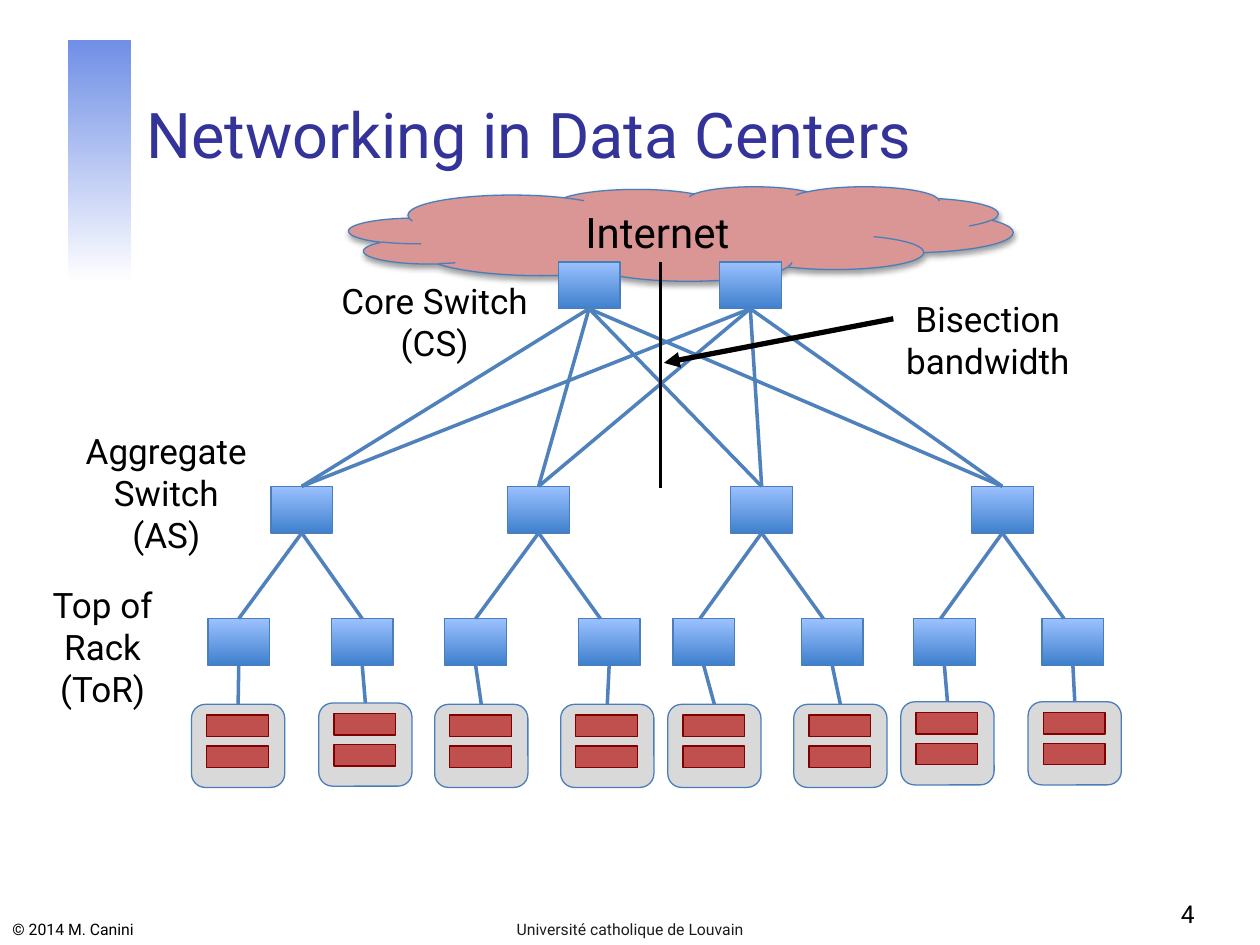
from lxml.etree import SubElement
from pptx import Presentation
from pptx.dml.color import RGBColor
from pptx.enum.shapes import MSO_CONNECTOR as Connector, MSO_SHAPE as Preset
from pptx.enum.text import MSO_ANCHOR as Anchor, MSO_AUTO_SIZE as AutoSize, PP_ALIGN as Align
from pptx.oxml.ns import qn
from pptx.util import Inches, Pt

COLUMNS, ROWS = 100, 75
CELL = Inches(0.1)
FONT = "Roboto"
TOP, BOTTOM = 0, 2

BLACK = RGBColor(0x00, 0x00, 0x00)
WHITE = RGBColor(0xFF, 0xFF, 0xFF)
CHARCOAL = RGBColor(0x1C, 0x1C, 0x1C)
TITLE_BLUE = RGBColor(0x33, 0x33, 0x99)
BAND_BLUE = RGBColor(0x70, 0x8F, 0xE6)
SWITCH_LIGHT = RGBColor(0x9B, 0xC1, 0xFF)
SWITCH_DARK = RGBColor(0x3F, 0x80, 0xCD)
OUTLINE_BLUE = RGBColor(0x4A, 0x7E, 0xBB)
LINK_BLUE = RGBColor(0x4F, 0x81, 0xBD)
CLOUD_PINK = RGBColor(0xD9, 0x96, 0x94)
RACK_GRAY = RGBColor(0xD9, 0xD9, 0xD9)
SERVER_RED = RGBColor(0xC0, 0x50, 0x4D)
SERVER_EDGE = RGBColor(0x80, 0x00, 0x00)

SWITCH_SIZE = (4.9, 3.7)
RACK_SIZE = (7.4, 6.6)
SERVER_SIZE = (4.9, 1.7)
SERVER_OFFSETS = ((1.2, 0.85), (1.2, 3.3))

CORE_ROW, AGGREGATE_ROW, TOR_ROW = 20.8, 38.6, 49.1
CORE_COLUMNS = (44.3, 57.1)
AGGREGATE_COLUMNS = (21.5, 40.3, 58, 77.1)
TOR_COLUMNS = (16.5, 26.3, 35.3, 45.9, 53.4, 63.6, 72.5, 82.7)
RACK_CORNERS = ((15.2, 55.9), (25.3, 55.8), (34.5, 55.9), (44.5, 55.9),
                (53, 55.9), (63, 55.9), (71.5, 55.7), (81.6, 55.7))
BRANCH_SPREAD = 4.9
JOIN_TOLERANCE = CELL * 0.3

LABELS = (
    ("Core Switch (CS)", (25.8, 21.7, 17.4, 7.7)),
    ("Aggregate Switch (AS)", (5.4, 33.6, 15.6, 11.1)),
    ("Top of Rack (ToR)", (1.3, 45.8, 13.7, 11.1)),
    ("Bisection bandwidth", (70, 23.1, 16.8, 7.7)),
)
FOOTERS = (
    ("© 2014 M. Canini", (0, 72.2, 30.2, 2.8), 9, BLACK, Align.LEFT),
    ("Université catholique de Louvain", (34.2, 72.2, 31.6, 2.8), 9, CHARCOAL, Align.CENTER),
    ("4", (75, 69.2, 20.8, 5), 14, BLACK, Align.RIGHT),
)


def grid(*cells):
    return [round(cell * CELL) for cell in cells]


def write(shape, text, size, color, align, anchor):
    frame = shape.text_frame
    frame.word_wrap = True
    frame.auto_size = AutoSize.NONE
    frame.vertical_anchor = anchor
    paragraph = frame.paragraphs[0]
    paragraph.alignment = align
    run = paragraph.add_run()
    run.text = text
    run.font.name = FONT
    run.font.size = Pt(size)
    run.font.color.rgb = color


def add_title(slide, text, area):
    title = slide.shapes.title
    title.left, title.top, title.width, title.height = grid(*area)
    write(title, text, 36, TITLE_BLUE, Align.LEFT, Anchor.BOTTOM)


def add_text(slide, text, area, size, color, align, anchor):
    write(slide.shapes.add_textbox(*grid(*area)), text, size, color, align, anchor)


def add_block(slide, preset, area, fills, edge=None):
    shape = slide.shapes.add_shape(preset, *grid(*area))
    shape.shadow.inherit = False
    if len(fills) == 2:
        shape.fill.gradient()
        shape.fill.gradient_angle = 270
        for stop, color, position in zip(shape.fill.gradient_stops, fills, (0, 1)):
            stop.color.rgb = color
            stop.position = position
    else:
        shape.fill.solid()
        shape.fill.fore_color.rgb = fills[0]
    if edge is None:
        shape.line.fill.background()
    else:
        shape.line.color.rgb = edge
        shape.line.width = Pt(0.75)
    return shape


def add_cloud(slide):
    cloud = add_block(slide, Preset.CLOUD, (27.7, 14.8, 52.7, 7.5), (CLOUD_PINK,), OUTLINE_BLUE)
    write(cloud, "Internet", 24, BLACK, Align.CENTER, Anchor.MIDDLE)
    effects = cloud._element.spPr.find(qn("a:effectLst"))
    shadow = SubElement(effects, qn("a:outerShdw"), blurRad=str(Pt(3.1)),
                        dist=str(Pt(1.6)), dir="5400000", rotWithShape="0")
    color = SubElement(shadow, qn("a:srgbClr"), val=str(BLACK))
    SubElement(color, qn("a:alpha"), val="38000")


def add_switches(slide, columns, row):
    return [add_block(slide, Preset.RECTANGLE, (column, row, *SWITCH_SIZE),
                      (SWITCH_LIGHT, SWITCH_DARK), OUTLINE_BLUE) for column in columns]


def add_rack(slide, left, top):
    rack = add_block(slide, Preset.ROUNDED_RECTANGLE, (left, top, *RACK_SIZE),
                     (RACK_GRAY,), OUTLINE_BLUE)
    for across, down in SERVER_OFFSETS:
        add_block(slide, Preset.RECTANGLE, (left + across, top + down, *SERVER_SIZE),
                  (SERVER_RED,), SERVER_EDGE)
    return rack


def middle(shape, site):
    return shape.left + shape.width // 2, shape.top + (shape.height if site == BOTTOM else 0)


def add_line(slide, start, end, color=LINK_BLUE, width=2, arrow=False):
    line = slide.shapes.add_connector(Connector.STRAIGHT, *start, *end)
    line.line.color.rgb = color
    line.line.width = Pt(width)
    properties = line._element.spPr
    if arrow:
        SubElement(properties.find(qn("a:ln")), qn("a:tailEnd"), type="triangle")
    SubElement(properties, qn("a:effectLst"))
    return line


def add_link(slide, lower, upper, start_x=None):
    start = middle(lower, TOP)
    joined = start_x is None or abs(start_x - start[0]) < JOIN_TOLERANCE
    if not joined:
        start = start_x, start[1]
    line = add_line(slide, start, middle(upper, BOTTOM))
    if joined:
        line.begin_connect(lower, TOP)
    line.end_connect(upper, BOTTOM)


def add_network(slide):
    tors = add_switches(slide, TOR_COLUMNS, TOR_ROW)
    aggregates = add_switches(slide, AGGREGATE_COLUMNS, AGGREGATE_ROW)
    cores = add_switches(slide, CORE_COLUMNS, CORE_ROW)
    for index, aggregate in enumerate(aggregates):
        for core in cores:
            add_link(slide, aggregate, core)
        center = middle(aggregate, BOTTOM)[0]
        for tor, side in zip(tors[2 * index:2 * index + 2], (-1, 1)):
            add_link(slide, tor, aggregate, center + round(side * BRANCH_SPREAD * CELL))
    for tor, corner in zip(tors, RACK_CORNERS):
        add_link(slide, add_rack(slide, *corner), tor)


def main():
    presentation = Presentation()
    presentation.slide_width, presentation.slide_height = grid(COLUMNS, ROWS)
    slide = presentation.slides.add_slide(presentation.slide_layouts[5])
    add_block(slide, Preset.RECTANGLE, (5.4, 3.2, 5, 19.3), (BAND_BLUE, WHITE))
    add_cloud(slide)
    add_title(slide, "Networking in Data Centers", (10.6, 3.3, 85.2, 10.8))
    add_network(slide)
    for text, area in LABELS:
        add_text(slide, text, area, 20, BLACK, Align.CENTER, Anchor.TOP)
    add_line(slide, grid(52.4, 38.7), grid(52.4, 20.8), BLACK, 1.5)
    add_line(slide, grid(70.9, 25.3), grid(52.7, 28.8), BLACK, 3, arrow=True)
    for text, area, size, color, align in FOOTERS:
        add_text(slide, text, area, size, color, align, Anchor.BOTTOM)
    presentation.save("out.pptx")


if __name__ == "__main__":
    main()
